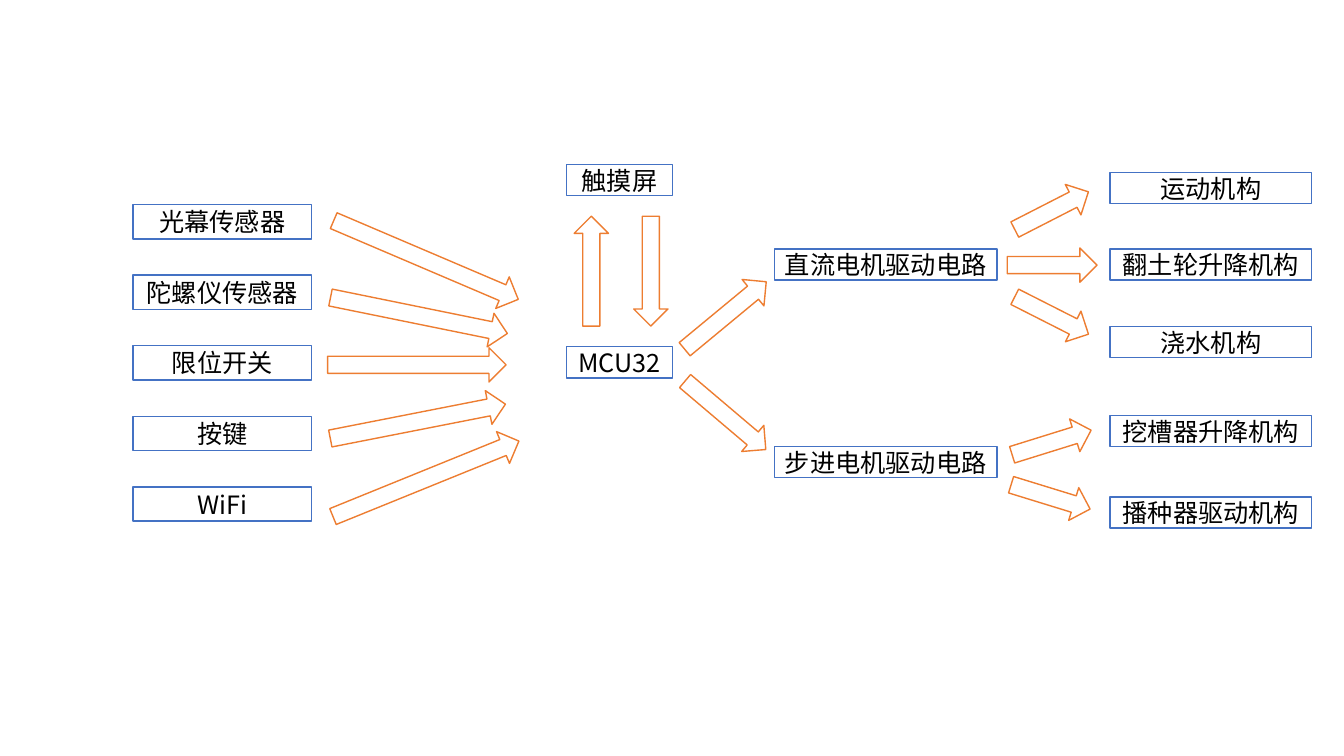
from lxml.etree import SubElement
from pptx import Presentation
from pptx.dml.color import RGBColor
from pptx.enum.shapes import MSO_SHAPE as Shape
from pptx.enum.text import MSO_ANCHOR as Anchor, PP_ALIGN as Align
from pptx.oxml.ns import qn
from pptx.util import Pt

PX = 9144
FONT = "Noto Sans CJK SC"
COLORS = {"fill": "FFFFFF", "box": "4472C4", "arrow": "ED7D31", "text": "000000"}

presentation = Presentation()
presentation.slide_width = 1333 * PX
presentation.slide_height = 750 * PX
slide = presentation.slides.add_slide(presentation.slide_layouts[6])


def add_outlined(kind, left, top, width, height, line):
    shape = slide.shapes.add_shape(kind, left * PX, top * PX, width * PX, height * PX)
    shape.shadow.inherit = False
    shape.fill.solid()
    shape.fill.fore_color.rgb = RGBColor.from_string(COLORS["fill"])
    shape.line.color.rgb = RGBColor.from_string(COLORS[line])
    shape.line.width = Pt(1)
    return shape


def add_box(text, left, top, width, height=31):
    shape = add_outlined(Shape.RECTANGLE, left, top, width, height, "box")
    frame = shape.text_frame
    frame.word_wrap = True
    frame.vertical_anchor = Anchor.MIDDLE
    frame.margin_left = frame.margin_right = frame.margin_top = frame.margin_bottom = 0
    paragraph = frame.paragraphs[0]
    paragraph.text = text
    paragraph.alignment = Align.CENTER
    font = paragraph.font
    font.size = Pt(18)
    font.color.rgb = RGBColor.from_string(COLORS["text"])
    font.name = FONT
    SubElement(font._element, qn("a:ea"), typeface=FONT)


inputs = ["光幕传感器", "陀螺仪传感器", "限位开关", "按键", "WiFi"]
for row, name in enumerate(inputs):
    add_box(name, 132, 203 + 70 * row, 177, 34)

for name, top in [("触摸屏", 163), ("MCU32", 344)]:
    add_box(name, 562, top, 105)

for name, top in [("直流电机驱动电路", 247), ("步进电机驱动电路", 443)]:
    add_box(name, 768, top, 221)

mechanisms = [
    ("运动机构", 171),
    ("翻土轮升降机构", 247),
    ("浇水机构", 324),
    ("挖槽器升降机构", 412),
    ("播种器驱动机构", 493),
]
for name, top in mechanisms:
    add_box(name, 1101, top, 200)

input_arrows = [
    (323, 241, 199, 23.1),
    (326, 296, 179, 11.5),
    (325, 345, 177, 0),
    (326, 401, 177, -11.1),
    (323, 458, 199, -22.1),
]
screen_arrows = [(532, 252, 109, -90), (591, 252, 109, 90)]
driver_arrows = [(667, 296, 105, -39.6), (667, 395, 105, 40.3)]
mechanism_arrows = [
    (1002, 192, 82, -27.1),
    (999, 246, 89, 0),
    (1002, 296, 82, 26.9),
    (1002, 422, 82, -17.3),
    (1001, 476, 82, 17.1),
]
for left, top, length, angle in input_arrows + screen_arrows + driver_arrows + mechanism_arrows:
    arrow = add_outlined(Shape.RIGHT_ARROW, left, top, length, 34, "arrow")
    arrow.rotation = angle

presentation.save("out.pptx")
